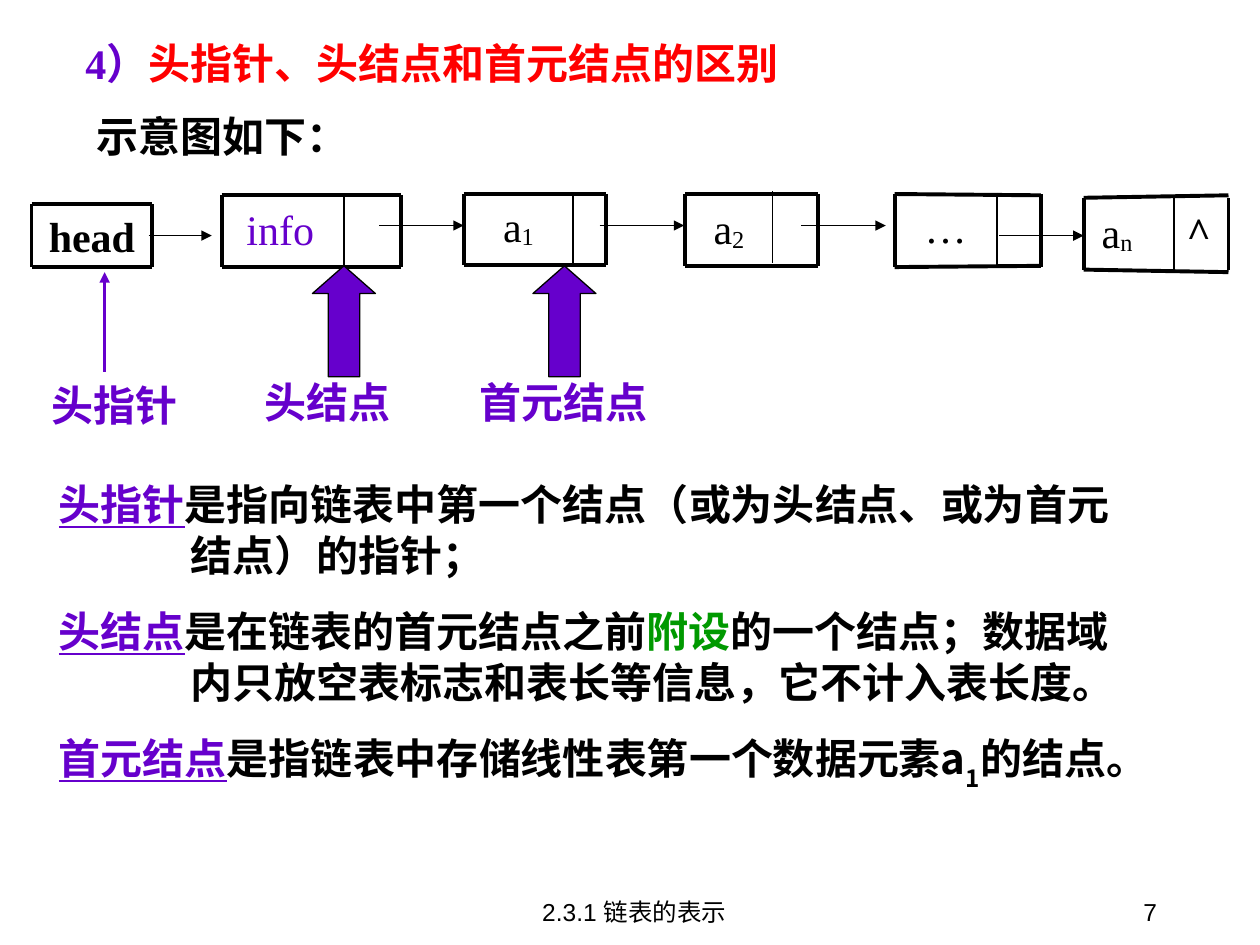
from dataclasses import dataclass

import pptx
import pptx.dml.color
import pptx.enum.shapes
import pptx.enum.text
import pptx.oxml.ns
import pptx.util
from lxml import etree

Inches = pptx.util.Inches
Align = pptx.enum.text.PP_ALIGN
Anchor = pptx.enum.text.MSO_ANCHOR
qn = pptx.oxml.ns.qn

BLACK, PURPLE, RED, GREEN = "000000", "6600CC", "FF0000", "009900"
SERIF, SANS, CHINESE = "Times New Roman", "Arial", "Noto Sans CJK SC"


@dataclass
class Span:
    text: str
    color: str = BLACK
    underline: bool = False
    baseline: int = 0


@dataclass
class Style:
    size: float = 24
    font: str = SERIF
    bold: bool = False
    align: Align = Align.CENTER
    anchor: Anchor = Anchor.TOP
    wrap: bool = True
    hanging: float = 0
    space: float = 0


@dataclass
class Node:
    left: float
    right: float
    top: float
    bottom: float
    divider: float | None = None
    divider_top: float = 0
    top_drop: float = 0
    bottom_drop: float = 0


@dataclass
class Label:
    area: tuple[float, float, float, float]
    spans: list[Span]
    style: Style


def color(value: str) -> pptx.dml.color.RGBColor:
    return pptx.dml.color.RGBColor.from_string(value)


def add_text(page, area: tuple, paragraphs: list[list[Span]], style: Style) -> None:
    frame = page.shapes.add_textbox(*map(Inches, area)).text_frame
    frame.word_wrap = style.wrap
    frame.vertical_anchor = style.anchor
    for index, spans in enumerate(paragraphs):
        para = frame.add_paragraph() if index else frame.paragraphs[0]
        para.alignment = style.align
        if index:
            para.space_before = pptx.util.Pt(style.space)
        if style.hanging:
            properties = para._p.get_or_add_pPr()
            properties.set("marL", str(Inches(style.hanging)))
            properties.set("indent", str(-Inches(style.hanging)))
        para.font.size = pptx.util.Pt(style.size)
        para.font.name = style.font
        para.font.bold = style.bold
        for item in spans:
            span = para.add_run()
            span.text = item.text
            span.font.color.rgb = color(item.color)
            if item.underline:
                span.font.underline = True
            if item.baseline:
                span._r.get_or_add_rPr().set("baseline", str(item.baseline * 1000))


def add_line(page, start: tuple, end: tuple, width: float,
             line_color: str = BLACK, arrow: bool = False) -> None:
    line = page.shapes.add_connector(
        pptx.enum.shapes.MSO_CONNECTOR.STRAIGHT, *map(Inches, start + end))
    line.line.width = pptx.util.Pt(width)
    line.line.color.rgb = color(line_color)
    if arrow:
        etree.SubElement(line.line._get_or_add_ln(), qn("a:tailEnd"), type="triangle")
    etree.SubElement(line._element.spPr, qn("a:effectLst"))


def add_node(page, node: Node) -> None:
    left, right, top, bottom = node.left, node.right, node.top, node.bottom
    add_line(page, (left, top), (right, top + node.top_drop), 2.25)
    add_line(page, (left, bottom), (right, bottom + node.bottom_drop), 2.25)
    for x in (left, right):
        add_line(page, (x, top), (x, bottom), 2.25)
    if node.divider is not None:
        start = node.divider_top or top
        add_line(page, (node.divider, start), (node.divider, start + 0.57), 1)


def add_block_arrow(page, left: float) -> None:
    arrow = page.shapes.add_shape(
        pptx.enum.shapes.MSO_SHAPE.UP_ARROW,
        Inches(left), Inches(2.11), Inches(0.5), Inches(0.88))
    arrow.adjustments[0], arrow.adjustments[1] = 0.5, 0.44
    arrow.shadow.inherit = False
    arrow.fill.solid()
    arrow.fill.fore_color.rgb = color(PURPLE)
    arrow.line.color.rgb = color(BLACK)
    arrow.line.width = pptx.util.Pt(0.75)


NODES = [
    Node(0.25, 1.21, 1.62, 2.12),
    Node(1.76, 3.18, 1.55, 2.12, 2.73),
    Node(3.68, 4.81, 1.54, 2.1, 4.55, 1.55),
    Node(5.44, 6.49, 1.54, 2.11, 6.13, 1.52),
    Node(7.1, 8.26, 1.54, 2.12, 7.91, 1.53, 0.01, -0.01),
    Node(8.6, 9.75, 1.57, 2.14, 9.32, 1.57, -0.02, 0.02),
]
LINKS = [(1.18, 1.68, 1.87), (3.01, 3.68, 1.79), (4.76, 5.43, 1.79),
         (6.36, 7.03, 1.79), (7.93, 8.6, 1.87)]

PLAIN = Style()
STRONG = Style(bold=True)
CAPTION = Style(bold=True, wrap=False)
LABELS = [
    Label((0.25, 1.62, 0.96, 0.5), [Span("head")], STRONG),
    Label((1.76, 1.57, 0.93, 0.57), [Span("info", PURPLE)], PLAIN),
    Label((3.68, 1.54, 0.87, 0.5), [Span("a"), Span("1", baseline=-8)], PLAIN),
    Label((5.44, 1.56, 0.69, 0.57), [Span("a"), Span("2", baseline=-8)], PLAIN),
    Label((7.1, 1.55, 0.81, 0.57), [Span("…")], PLAIN),
    Label((8.59, 1.59, 0.55, 0.57), [Span("a"), Span("n", baseline=-8)], PLAIN),
    Label((9.32, 1.58, 0.51, 0.57), [Span("^")], Style(bold=True, align=Align.LEFT)),
    Label((0.31, 2.96, 1.2, 0.5), [Span("头指针", PURPLE)], CAPTION),
    Label((2, 2.94, 1.2, 0.5), [Span("头结点", PURPLE)], CAPTION),
    Label((3.71, 2.94, 1.53, 0.5), [Span("首元结点", PURPLE)], CAPTION),
    Label((0.58, 0.25, 6.25, 0.55),
          [Span("4）", PURPLE), Span("头指针、头结点和首元结点的区别", RED)],
          Style(bold=True, align=Align.LEFT, hanging=0.38)),
    Label((0.67, 0.83, 3.08, 0.5), [Span("示意图如下：")],
          Style(font=SANS, bold=True, align=Align.LEFT)),
    Label((3.45, 6.9, 3.17, 0.5), [Span("2.3.1 链表的表示")],
          Style(14, SANS, anchor=Anchor.BOTTOM)),
    Label((7.2, 6.9, 2.08, 0.5), [Span("7")],
          Style(14, SANS, align=Align.RIGHT, anchor=Anchor.BOTTOM)),
]
DEFINITIONS = [
    [Span("头指针", PURPLE, True),
     Span("是指向链表中第一个结点（或为头结点、或为首元结点）的指针；")],
    [Span("头结点", PURPLE, True), Span("是在链表的首元结点之前"), Span("附设", GREEN),
     Span("的一个结点；数据域内只放空表标志和表长等信息，它不计入表长度。")],
    [Span("首元结点", PURPLE, True), Span("是指链表中存储线性表第一个数据元素a"),
     Span("1", baseline=-30), Span("的结点。")],
]


def main() -> None:
    deck = pptx.Presentation()
    deck.slide_width, deck.slide_height = Inches(10), Inches(7.5)
    page = deck.slides.add_slide(deck.slide_layouts[6])
    for node in NODES:
        add_node(page, node)
    for start, end, y in LINKS:
        add_line(page, (start, y), (end, y), 0.75, arrow=True)
    add_line(page, (0.83, 2.95), (0.83, 2.16), 2, PURPLE, arrow=True)
    for left in (2.48, 4.23):
        add_block_arrow(page, left)
    for label in LABELS:
        add_text(page, label.area, [label.spans], label.style)
    add_text(page, (0.37, 3.75, 8.77, 2.99), DEFINITIONS,
             Style(font=CHINESE, bold=True, align=Align.LEFT, hanging=1.04, space=15))
    deck.save("out.pptx")


if __name__ == "__main__":
    main()
